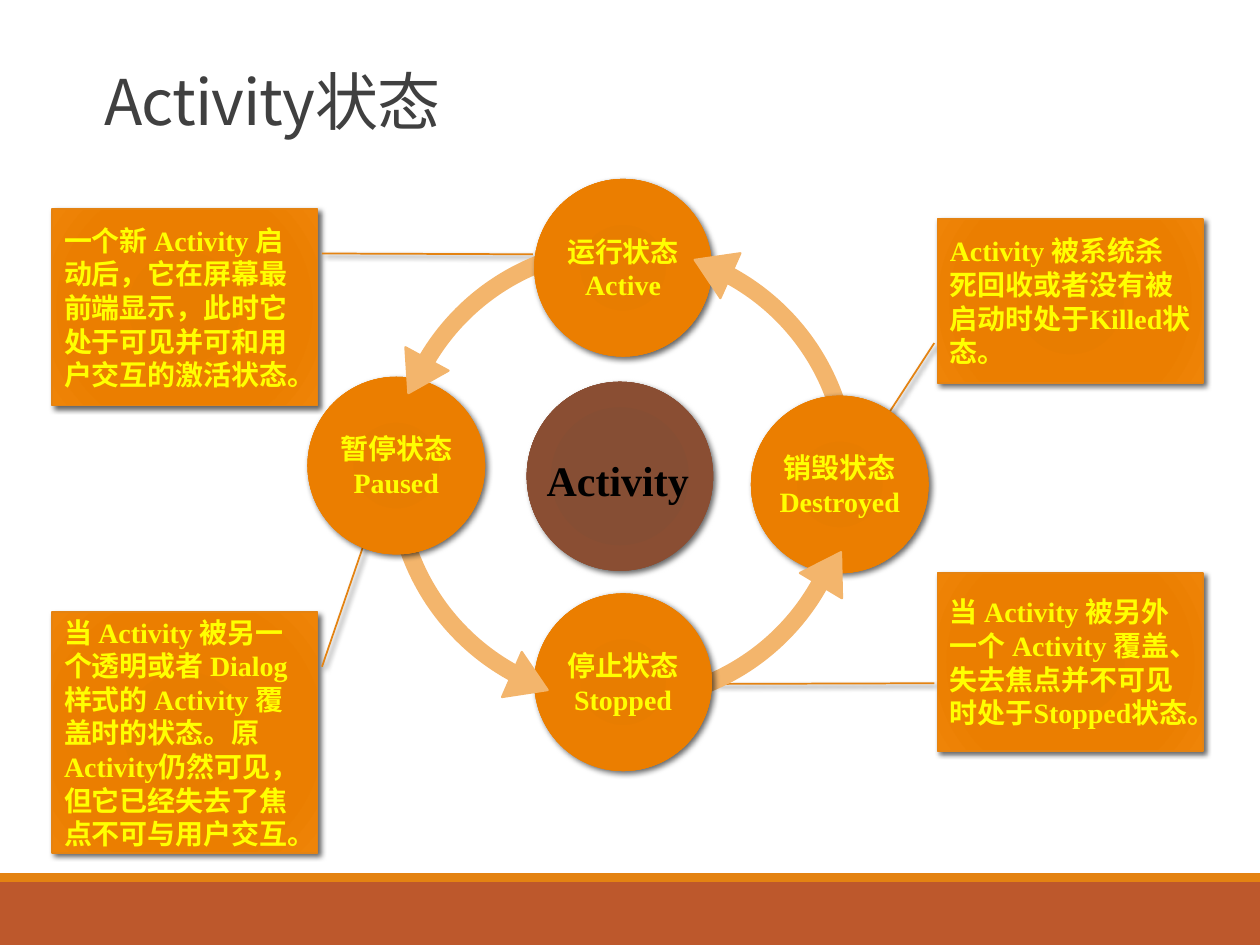
from lxml import etree
from pptx import Presentation
from pptx.dml.color import RGBColor as RGB
from pptx.enum.shapes import MSO_SHAPE as SHAPE
from pptx.enum.text import MSO_ANCHOR as ANCHOR, PP_ALIGN as ALIGN
from pptx.oxml import parse_xml
from pptx.oxml.ns import nsdecls, qn
from pptx.util import Inches, Pt

ORANGE = RGB(0xE4, 0x83, 0x12)
RUST = RGB(0xBD, 0x58, 0x2C)
PEACH = RGB(0xF3, 0xB5, 0x6C)
WHITE = RGB(0xFF, 0xFF, 0xFF)
BLACK = RGB(0, 0, 0)
YELLOW = RGB(0xFF, 0xFF, 0)
GREY = RGB(0x40, 0x40, 0x40)
STOPS = (0, 34, 70, 100)
ORANGE_GLOW = (RGB(0xE5, 0x7B, 0x00), RGB(0xE8, 0x7D, 0x00),
               RGB(0xEB, 0x7E, 0x00), RGB(0xEF, 0x84, 0x07))
BROWN_GLOW = (RGB(0x87, 0x4C, 0x32), RGB(0x86, 0x4E, 0x34),
              RGB(0x8A, 0x4E, 0x33), RGB(0x8A, 0x55, 0x3D))
SERIF, SANS = "Times New Roman", "Noto Sans CJK SC"
COLS, ROWS = 100, 75


def write(sp, text, size=16, font=SERIF, color=YELLOW, bold=True,
          align=ALIGN.LEFT, anchor=ANCHOR.MIDDLE, inset=None, wrap=True):
    """Put one formatted paragraph into a shape and return its run."""
    tf = sp.text_frame
    tf.word_wrap, tf.vertical_anchor = wrap, anchor
    if inset is not None:
        tf.margin_left = tf.margin_right = Inches(inset)
        tf.margin_top = tf.margin_bottom = Inches(inset)
    p = tf.paragraphs[0]
    p.alignment = align
    r = p.add_run()
    r.text = text
    r.font.size, r.font.name, r.font.bold = Pt(size), font, bold
    r.font.color.rgb = color
    return r


def glow(sp, colors):
    """Fill a shape with a circular gradient."""
    stops = "".join(
        f'<a:gs pos="{pos * 1000}"><a:srgbClr val="{c}"/></a:gs>'
        for pos, c in zip(STOPS, colors))
    grad = parse_xml(
        f'<a:gradFill {nsdecls("a")} rotWithShape="1"><a:gsLst>{stops}</a:gsLst>'
        '<a:path path="circle"><a:fillToRect l="100000" t="100000" r="100000" '
        'b="100000"/></a:path></a:gradFill>')
    sp._element.spPr.find(qn("a:prstGeom")).addnext(grad)


def cast_shadow(sp, blur):
    """Add a soft shadow towards the lower right."""
    sp.shadow.inherit = False
    effects = sp._element.spPr.find(qn("a:effectLst"))
    shadow = etree.SubElement(
        effects, qn("a:outerShdw"), blurRad=str(Pt(blur)), dist=str(Pt(2)),
        dir="2700000", algn="tl", rotWithShape="0")
    color = etree.SubElement(shadow, qn("a:srgbClr"), val=str(BLACK))
    etree.SubElement(color, qn("a:alpha"), val="60000")


class Board:
    """The current slide with its grid and element styles."""

    def __init__(self, prs):
        """Add a blank slide and measure the grid."""
        self.s = prs.slides.add_slide(prs.slide_layouts[6])
        self.col, self.row = prs.slide_width / COLS, prs.slide_height / ROWS

    def box(self, x, y, w, h):
        """Turn columns and rows into slide lengths."""
        return (round(x * self.col), round(y * self.row),
                round(w * self.col), round(h * self.row))

    def shape(self, kind, area, fill=None, line=None, width=1, shades=None, blur=0):
        """Draw a preset shape with a plain or glowing fill."""
        sp = self.s.shapes.add_shape(kind, *self.box(*area))
        sp.shadow.inherit = False
        if shades:
            glow(sp, shades)
        else:
            sp.fill.solid()
            sp.fill.fore_color.rgb = fill
        if line is None:
            sp.line.fill.background()
        else:
            sp.line.color.rgb, sp.line.width = line, Pt(width)
        if blur:
            cast_shadow(sp, blur)
        return sp

    def label(self, area, text, **fmt):
        """Add a text box and return its run."""
        return write(self.s.shapes.add_textbox(*self.box(*area)), text, **fmt)

    def callout(self, x, y, h, leader, text):
        """Draw an explanation box with a leader line."""
        sp = self.shape(SHAPE.LINE_CALLOUT_1, (x, y, 21.1, h), line=ORANGE,
                        shades=ORANGE_GLOW, blur=3)
        for i, value in enumerate(leader):
            sp.adjustments[i] = value
        write(sp, text)

    def state(self, x, y, text):
        """Draw the disc of one state."""
        sp = self.shape(SHAPE.OVAL, (x, y, 14.1, 14.1), shades=ORANGE_GLOW, blur=3.5)
        write(sp, text, align=ALIGN.CENTER, inset=0)

    def arrowhead(self, x, y, angle):
        """Draw one arrowhead on the ring."""
        sp = self.shape(SHAPE.ISOSCELES_TRIANGLE, (x, y, 3.9, 3.1), PEACH, PEACH, 1.25)
        sp.rotation = angle


LEFT, RIGHT = 4.1, 74.4
CALLOUTS = [
    (LEFT, 16.6, 15.6, (0.226, 1.017, 0.23, 1.81),
     "一个新 Activity 启动后，它在屏幕最前端显示，此时它处于可见并可和用户交互的激活状态。"),
    (LEFT, 48.6, 19.1, (0.226, 1.017, -0.346, 1.194),
     "当 Activity 被另一个透明或者 Dialog 样式的 Activity 覆盖时的状态。"
     "原Activity仍然可见，但它已经失去了焦点不可与用户交互。"),
    (RIGHT, 45.5, 14.1, (0.619, -0.012, 0.623, -0.835),
     "当 Activity 被另外一个 Activity 覆盖、失去焦点并不可见时处于Stopped状态。"),
    (RIGHT, 17.4, 13, (0.756, -0.012, 1.236, -0.204),
     "Activity 被系统杀死回收或者没有被启动时处于Killed状态。"),
]
STATES = [(42.4, 14.2, "运行状态Active"), (24.4, 29.9, "暂停状态Paused"),
          (42.4, 47.1, "停止状态Stopped"), (59.6, 31.4, "销毁状态Destroyed")]
ARROWHEADS = [(31.2, 28.3, 208.5), (40.1, 52.6, 113.6),
              (64, 43.6, 31), (54.6, 19.7, 294)]


def main():
    """Build the slide and save it."""
    prs = Presentation()
    prs.slide_width, prs.slide_height = Inches(10), Inches(7.5)
    board = Board(prs)
    board.shape(SHAPE.RECTANGLE, (0, 70, COLS, 5), RUST)
    board.shape(SHAPE.RECTANGLE, (0, 69.3, COLS, 0.7), ORANGE)
    r = board.label((7.3, 3.8, 82.5, 7.7), "Activity状态", size=36, font=SANS,
                    color=GREY, bold=False, anchor=ANCHOR.BOTTOM)
    board.s.shapes[-1].text_frame.paragraphs[0].line_spacing = 0.85
    rpr = r.font._element
    rpr.set("spc", "-50")
    rpr.find(qn("a:latin")).addnext(
        parse_xml(f'<a:ea {nsdecls("a")} typeface="{SANS}"/>'))
    for item in CALLOUTS:
        board.callout(*item)
    board.shape(SHAPE.OVAL, (31.4, 19.7, 35.9, 35.9), WHITE, PEACH, 10)
    for item in STATES:
        board.state(*item)
    for item in ARROWHEADS:
        board.arrowhead(*item)
    board.shape(SHAPE.OVAL, (41.8, 30.3, 14.8, 15), shades=BROWN_GLOW, blur=3.5)
    board.label((42.4, 35.6, 14.3, 5.1), "Activity", size=24, color=BLACK,
                anchor=ANCHOR.TOP)
    prs.save("out.pptx")


main()
